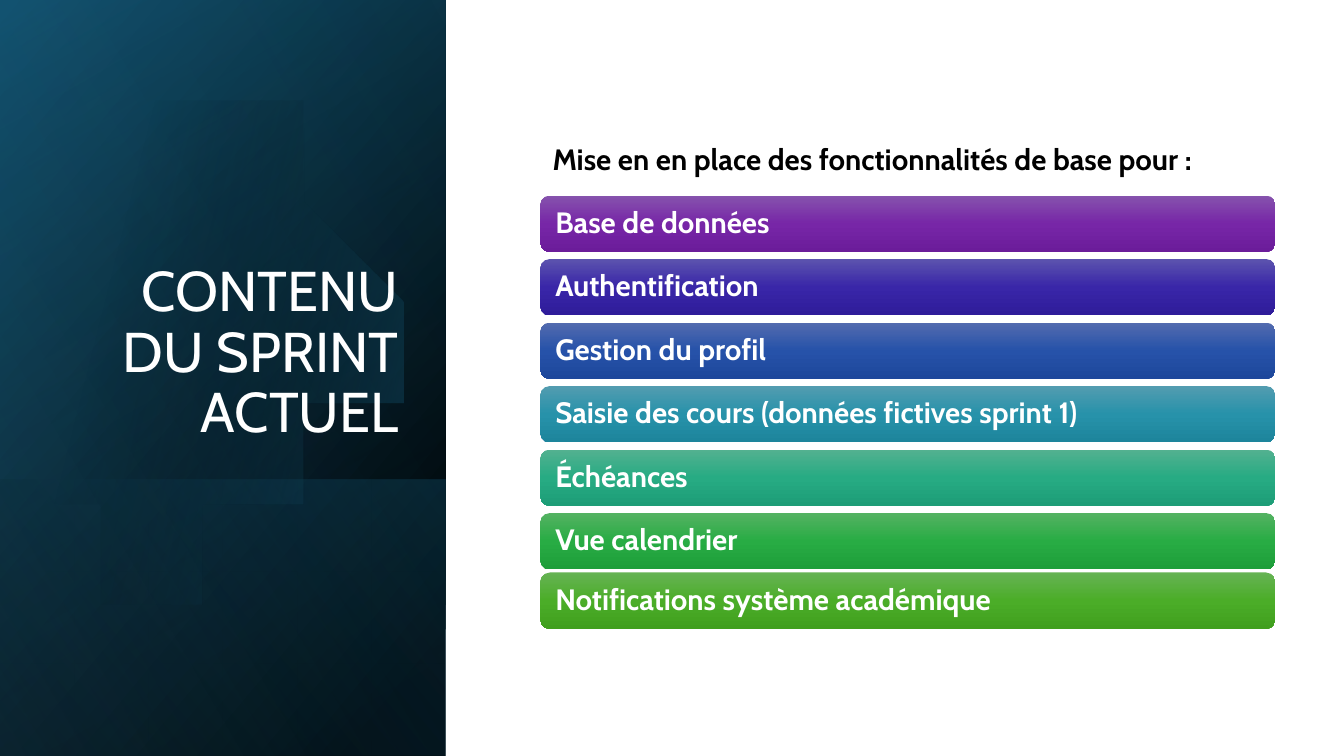
from lxml import etree
from pptx import Presentation, util as u
from pptx.dml.color import RGBColor
from pptx.enum import shapes, text
from pptx.oxml.ns import qn

FONT = "Cabin"
BLACK = RGBColor(0x00, 0x00, 0x00)
WHITE = RGBColor(0xFF, 0xFF, 0xFF)
NAVY = RGBColor(0x10, 0x48, 0x62)
TEAL = RGBColor(0x15, 0x60, 0x82)
SKY = RGBColor(0x46, 0xB1, 0xE1)

# Label and its top, middle and bottom colours
TASKS = [
    ("Base de données", "8653AD", "7726A7", "6B1C9A"),
    ("Authentification", "5C53AE", "3926A8", "2F1C9A"),
    ("Gestion du profil", "536BAF", "2652A9", "1D479B"),
    ("Saisie des cours (données fictives sprint 1)", "539CB0", "2792AA", "1D859C"),
    ("Échéances", "53B190", "27AB83", "1D9D77"),
    ("Vue calendrier", "54B262", "28AC44", "1E9E3A"),
    ("Notifications système académique", "66B354", "4BAD28", "409F1E"),
]
BAR_TOP, BAR_STEP, LAST_TOP = 1.94, 0.63, 5.68

# Disc outline: start point, then cubic curves (two controls and an end)
DISC_START = (1.49, 1.1)
DISC_RIGHT = [
    ((2.46, 1.12), (3.35, 1.77), (3.63, 2.75)),
    ((3.98, 3.97), (3.28, 5.23), (2.07, 5.58)),
    ((1.31, 5.8), (0.53, 5.61), (-0.03, 5.14)),
]
DISC_LEFT = [(-0.15, 5.03), (-0.15, 1.75), (0, 1.61)]
DISC_TOP = [
    ((0.23, 1.42), (0.5, 1.28), (0.8, 1.19)),
    ((1.03, 1.13), (1.26, 1.1), DISC_START),
]


def curve(start, parts, steps=16):
    """Points along a chain of cubic curves."""
    points = []
    for one, two, end in parts:
        for i in range(1, steps + 1):
            t = i / steps
            s = 1 - t
            points.append(tuple(
                s**3 * a + 3 * s * s * t * b + 3 * s * t * t * c + t**3 * d
                for a, b, c, d in zip(start, one, two, end)))
        start = end
    return points


def write(frame, words, size=21, color=WHITE, bold=False,
          align=text.PP_ALIGN.LEFT, anchor=text.MSO_ANCHOR.MIDDLE,
          side=0.09, edge=0.09):
    frame.word_wrap = True
    frame.vertical_anchor = anchor
    frame.margin_left = frame.margin_right = u.Inches(side)
    frame.margin_top = frame.margin_bottom = u.Inches(edge)
    para = frame.paragraphs[0]
    para.alignment = align
    para.line_spacing = 0.9
    run = para.add_run()
    run.text = words
    run.font.name = FONT
    run.font.size = u.Pt(size)
    run.font.bold = bold
    run.font.color.rgb = color


class Deck:
    def __init__(self):
        self.prs = Presentation()
        self.prs.slide_width = u.Inches(13.33)
        self.prs.slide_height = u.Inches(7.5)
        self.slide = self.prs.slides.add_slide(self.prs.slide_layouts[6])

    def shade(self, shape, angle, stops):
        """Gradient fill; each stop is place, colour and opacity in percent."""
        shape.shadow.inherit = False
        shape.line.fill.background()
        shape.fill.gradient()
        grad = shape._element.spPr.find(qn("a:gradFill"))
        for child in list(grad):
            grad.remove(child)
        grad.set("rotWithShape", "1")
        group = etree.SubElement(grad, qn("a:gsLst"))
        for place, color, alpha in stops:
            stop = etree.SubElement(group, qn("a:gs"), pos=str(place * 1000))
            tone = etree.SubElement(stop, qn("a:srgbClr"), val=str(color))
            if alpha < 100:
                etree.SubElement(tone, qn("a:alpha"), val=str(alpha * 1000))
        etree.SubElement(grad, qn("a:lin"), ang=str(angle * 60000), scaled="0")

    def block(self, kind, box, angle, stops):
        shape = self.slide.shapes.add_shape(kind, *map(u.Inches, box))
        self.shade(shape, angle, stops)
        return shape

    def panel(self, box, angle, *stops):
        shape = self.block(shapes.MSO_SHAPE.RECTANGLE, box, angle, stops)
        shape.rotation = 90
        shape._element.spPr.find(qn("a:xfrm")).set("flipH", "1")

    def disc(self, angle, *stops):
        points = curve(DISC_START, DISC_RIGHT) + DISC_LEFT
        points += curve(DISC_LEFT[-1], DISC_TOP)
        form = self.slide.shapes.build_freeform(*DISC_START, scale=u.Inches(1))
        form.add_line_segments(points, close=True)
        self.shade(form.convert_to_shape(), angle, stops)

    def bar(self, top, words, *tones):
        stops = [(i * 50, tone, 100) for i, tone in enumerate(tones)]
        shape = self.block(shapes.MSO_SHAPE.ROUNDED_RECTANGLE,
                           (5.36, top, 7.29, 0.56), 90, stops)
        write(shape.text_frame, words, bold=True, side=0.12)

    def label(self, box, words, **style):
        shape = self.slide.shapes.add_textbox(*map(u.Inches, box))
        write(shape.text_frame, words, **style)


def main():
    deck = Deck()

    # Dark side panel
    side = (-1.54, 1.54, 7.5, 4.42)
    deck.panel(side, 50, (8, BLACK, 100), (100, NAVY, 100))
    deck.panel(side, 30, (0, BLACK, 0), (99, TEAL, 46))
    deck.panel((0.84, 3.92, 2.74, 4.42), 130, (2, TEAL, 29), (100, BLACK, 30))
    deck.disc(14, (29, BLACK, 0), (100, TEAL, 43))
    deck.panel(side, 120, (0, BLACK, 0), (99, SKY, 11))

    # Title
    deck.label((0.64, 1.84, 3.41, 2.62), "CONTENU DU SPRINT ACTUEL", size=40,
               align=text.PP_ALIGN.RIGHT, anchor=text.MSO_ANCHOR.BOTTOM,
               side=0.1, edge=0.05)

    # Heading and task bars
    deck.label((5.39, 1.34, 7.24, 0.51),
               "Mise en en place des fonctionnalités de base pour :",
               color=BLACK, bold=True)
    for i, task in enumerate(TASKS):
        deck.bar(min(BAR_TOP + i * BAR_STEP, LAST_TOP), *task)

    deck.prs.save("out.pptx")


if __name__ == "__main__":
    main()
